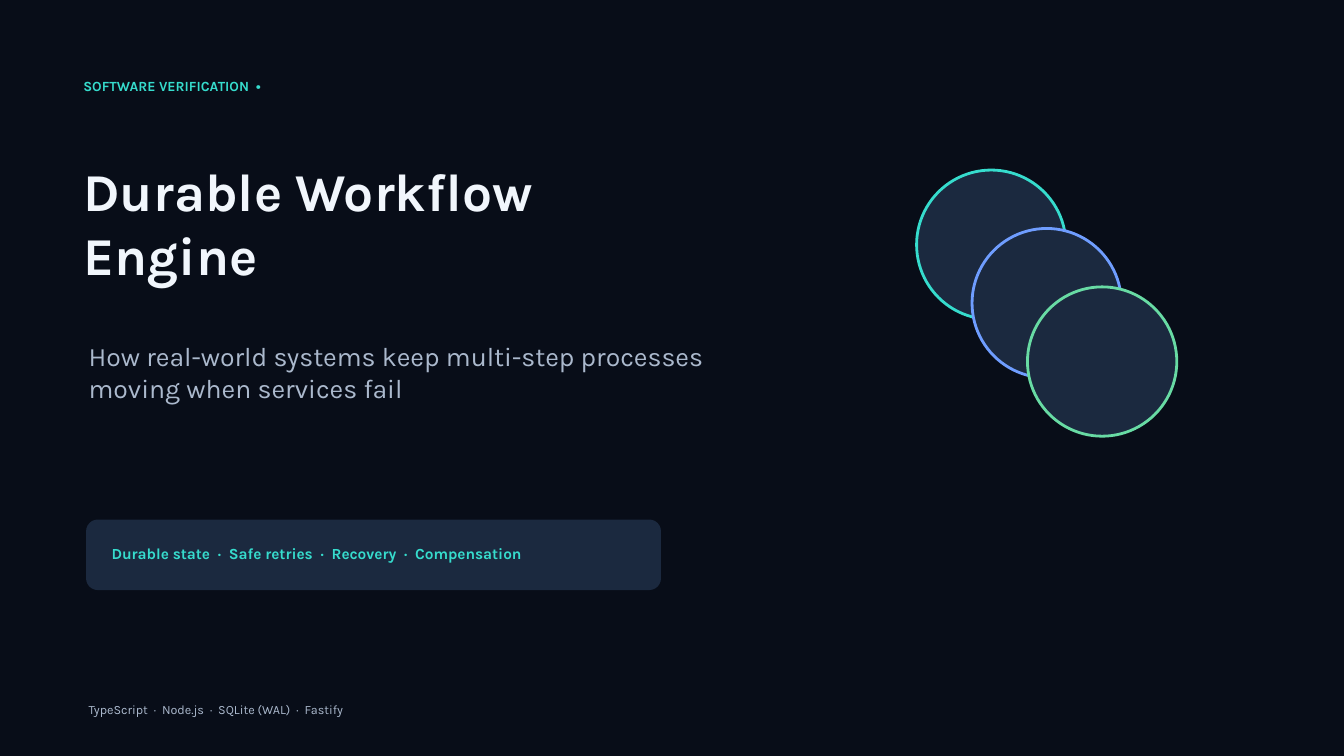
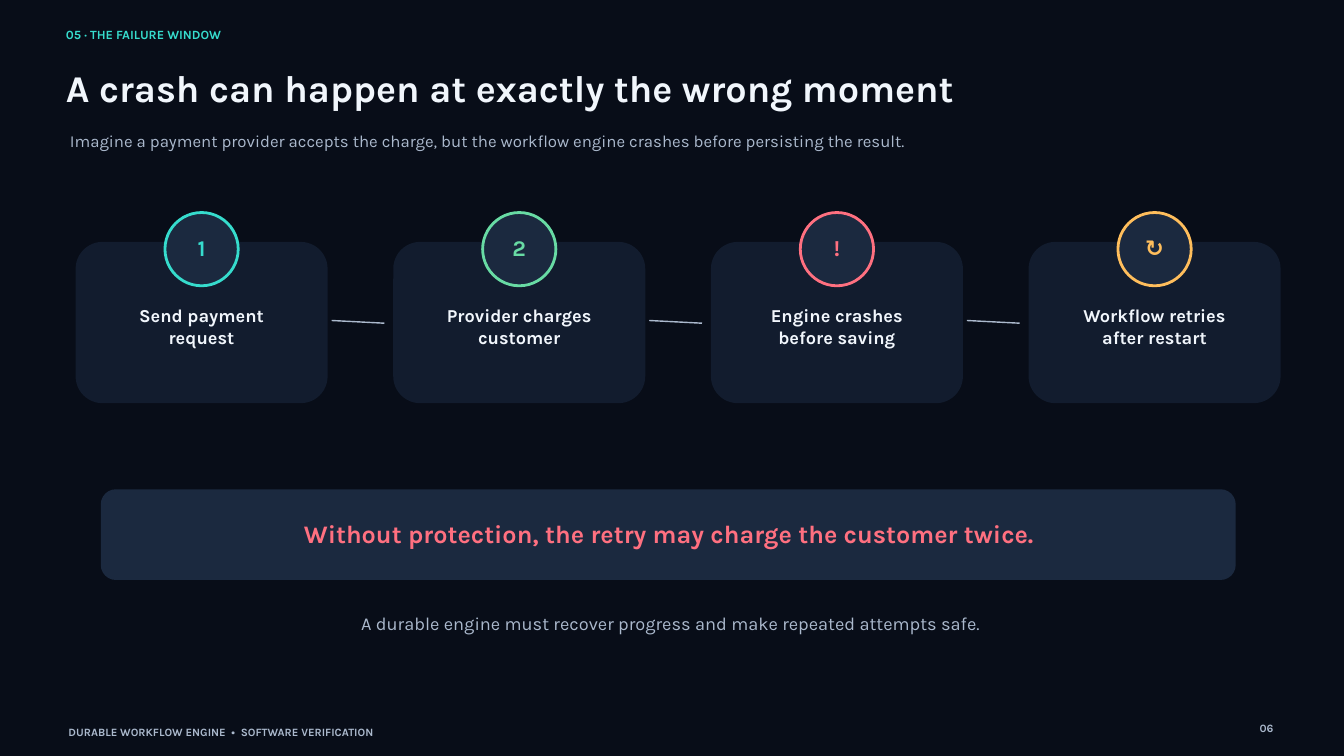
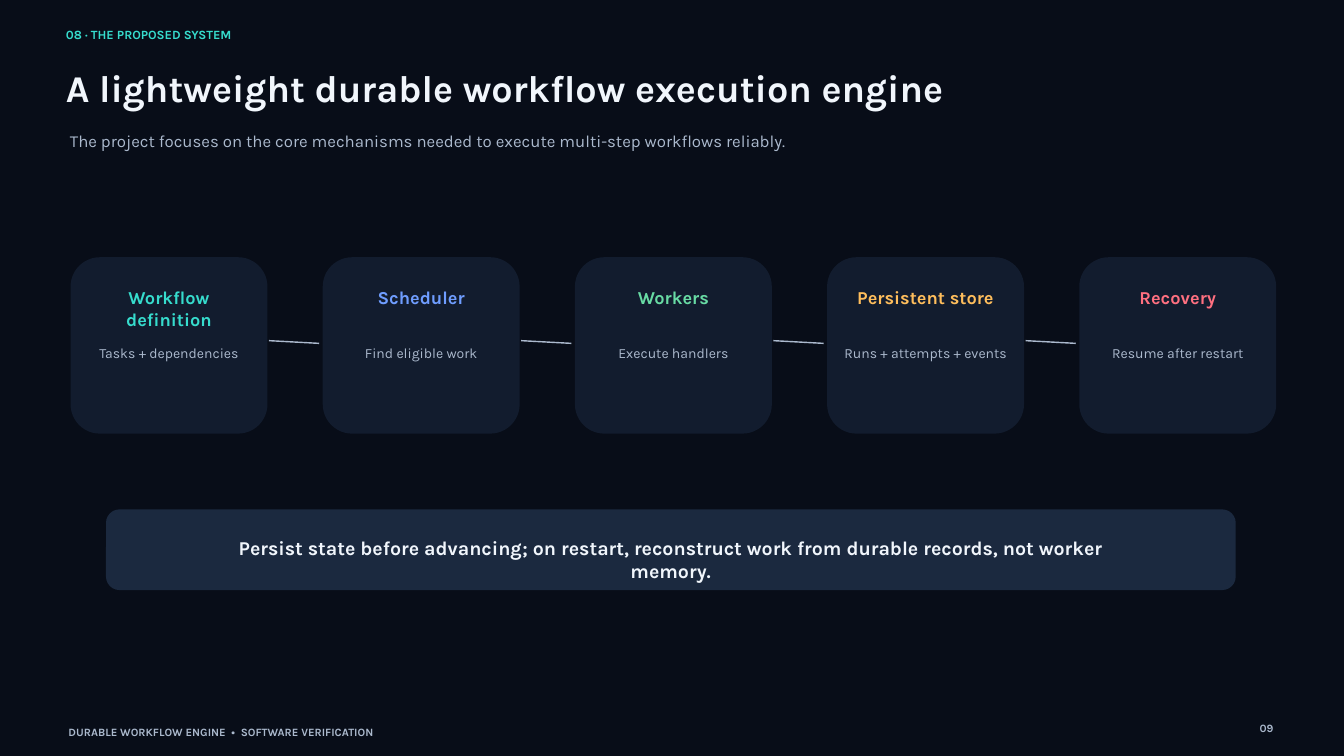
from dataclasses import dataclass

from lxml import etree
from pptx import Presentation
from pptx.dml.color import RGBColor
from pptx.enum.shapes import MSO_CONNECTOR, MSO_SHAPE
from pptx.enum.text import MSO_ANCHOR, MSO_AUTO_SIZE, PP_ALIGN
from pptx.oxml.ns import qn
from pptx.presentation import Presentation as Deck
from pptx.shapes.autoshape import Shape
from pptx.slide import Slide
from pptx.util import Pt

LEFT, CENTER, RIGHT = PP_ALIGN.LEFT, PP_ALIGN.CENTER, PP_ALIGN.RIGHT
TOP = MSO_ANCHOR.TOP
GROW = MSO_AUTO_SIZE.SHAPE_TO_FIT_TEXT
ROUNDED, OVAL = MSO_SHAPE.ROUNDED_RECTANGLE, MSO_SHAPE.OVAL
STRAIGHT = MSO_CONNECTOR.STRAIGHT
TITLE_SLIDE, TITLE_ONLY = 0, 5

FONT = "Karla"
LINE_FACTOR = 1.2
NIGHT, CARD, PANEL = "080D18", "121C2E", "1B293F"
WHITE, GREY = "F1F6FC", "ABB9CD"
TEAL, BLUE, GREEN, RED, AMBER = "36DCCD", "6F9DFF", "68DBA4", "FF7080", "FFBE5C"


@dataclass(frozen=True)
class Area:
    left: float
    top: float
    width: float
    height: float

    def lengths(self) -> tuple[Pt, Pt, Pt, Pt]:
        return Pt(self.left), Pt(self.top), Pt(self.width), Pt(self.height)


@dataclass(frozen=True)
class Style:
    size: float
    color: str
    bold: bool = False
    align: PP_ALIGN = LEFT


@dataclass(frozen=True)
class Step:
    mark: str
    label: str
    color: str


@dataclass(frozen=True)
class Component:
    name: str
    task: str
    color: str


@dataclass(frozen=True)
class Row:
    left: float
    pitch: float
    top: float
    width: float
    height: float
    radius: float
    link_start: float
    link_end: float
    link_top: float


LINK_DROP = 2.9
STEP_ROW = Row(81, 340.35, 259.2, 270, 172.8, 28.8, 274.3, 330.8, 343.4)
COMPONENT_ROW = Row(75.6, 270.2, 275.6, 211, 189, 31.5, 212.6, 266.4, 365)

STEPS = [
    Step("1", "Send payment\nrequest", TEAL),
    Step("2", "Provider charges\ncustomer", GREEN),
    Step("!", "Engine crashes\nbefore saving", RED),
    Step("↻", "Workflow retries\nafter restart", AMBER),
]
COMPONENTS = [
    Component("Workflow definition", "Tasks + dependencies", TEAL),
    Component("Scheduler", "Find eligible work", BLUE),
    Component("Workers", "Execute handlers", GREEN),
    Component("Persistent store", "Runs + attempts + events", AMBER),
    Component("Recovery", "Resume after restart", RED),
]


def rgb(color: str) -> RGBColor:
    return RGBColor.from_string(color)


def write(box: Shape, area: Area, text: str, style: Style) -> None:
    box.left, box.top, box.width, box.height = area.lengths()
    frame = box.text_frame
    frame_format = {
        "margin_left": 0, "margin_top": 0, "margin_right": 0, "margin_bottom": 0,
        "word_wrap": True, "vertical_anchor": TOP, "auto_size": GROW,
    }
    para_format = {
        "alignment": style.align, "space_before": Pt(0), "space_after": Pt(0),
        "line_spacing": Pt(style.size * LINE_FACTOR),
    }
    font_format = {"name": FONT, "size": Pt(style.size), "bold": style.bold}
    for name, value in frame_format.items():
        setattr(frame, name, value)
    for index, line in enumerate(text.split("\n")):
        para = frame.add_paragraph() if index else frame.paragraphs[0]
        for name, value in para_format.items():
            setattr(para, name, value)
        span = para.add_run()
        span.text = line
        for name, value in font_format.items():
            setattr(span.font, name, value)
        span.font.color.rgb = rgb(style.color)


def add_text(page: Slide, area: Area, text: str, style: Style) -> None:
    write(page.shapes.add_textbox(*area.lengths()), area, text, style)


def add_panel(page: Slide, area: Area, color: str, radius: float) -> None:
    panel = page.shapes.add_shape(ROUNDED, *area.lengths())
    panel.adjustments[0] = radius / min(area.width, area.height)
    panel.shadow.inherit = False
    panel.fill.solid()
    panel.fill.fore_color.rgb = rgb(color)
    panel.line.fill.background()


def add_ring(page: Slide, left: float, top: float, size: float, color: str) -> None:
    ring = page.shapes.add_shape(OVAL, *Area(left, top, size, size).lengths())
    ring.shadow.inherit = False
    ring.fill.solid()
    ring.fill.fore_color.rgb = rgb(PANEL)
    ring.line.color.rgb = rgb(color)
    ring.line.width = Pt(3)


def add_link(page: Slide, left: float, right: float, top: float) -> None:
    link = page.shapes.add_connector(
        STRAIGHT, Pt(left), Pt(top), Pt(right), Pt(top + LINK_DROP))
    link.line.color.rgb = rgb(GREY)
    link.line.width = Pt(1.5)
    etree.SubElement(link._element.spPr, qn("a:effectLst"))


def add_row_cards(page: Slide, row: Row, count: int) -> list[float]:
    lefts = [row.left + index * row.pitch for index in range(count)]
    for left in lefts:
        add_panel(page, Area(left, row.top, row.width, row.height), CARD, row.radius)
    for left in lefts[:-1]:
        add_link(page, left + row.link_start, left + row.link_end, row.link_top)
    return lefts


def add_content_page(deck: Deck, section: str, title: str, lead: str, number: str) -> Slide:
    page = deck.slides.add_slide(deck.slide_layouts[TITLE_ONLY])
    write(page.shapes.title, Area(70.6, 69.8, 1301, 63.4), title, Style(40.5, WHITE, True))
    add_text(page, Area(70.6, 28.8, 1290, 22.3), section, Style(13.5, TEAL, True))
    add_text(page, Area(74.9, 140.4, 1290, 42.5), lead, Style(18, GREY))
    add_text(page, Area(73.4, 777.6, 1074, 14.4),
             "DURABLE WORKFLOW ENGINE  •  SOFTWARE VERIFICATION", Style(12, GREY, True))
    add_text(page, Area(1321.9, 772.6, 42.5, 16.6), number, Style(12, GREY, True, RIGHT))
    return page


def build_cover(deck: Deck) -> None:
    page = deck.slides.add_slide(deck.slide_layouts[TITLE_SLIDE])
    write(page.shapes.title, Area(89.3, 169.9, 880.6, 147.6),
          "Durable Workflow\nEngine", Style(57, WHITE, True))
    write(page.placeholders[1], Area(95, 364.3, 805, 77.8),
          "How real-world systems keep multi-step processes\nmoving when services fail",
          Style(28.5, GREY))
    add_text(page, Area(89.3, 83.5, 859, 18), "SOFTWARE VERIFICATION  •",
             Style(15, TEAL, True))
    add_panel(page, Area(92.2, 556.6, 616, 75.6), PANEL, 12.6)
    add_text(page, Area(119.5, 582.5, 556.6, 23.8),
             "Durable state  ·  Safe retries  ·  Recovery  ·  Compensation",
             Style(16.5, TEAL, True))
    for index, color in enumerate([TEAL, BLUE, GREEN]):
        add_ring(page, 982.1 + index * 59.4, 182.2 + index * 62.6, 160, color)
    add_text(page, Area(95, 752.4, 751, 16.6),
             "TypeScript  ·  Node.js  ·  SQLite (WAL)  ·  Fastify", Style(13.5, GREY))


def build_failure_window(deck: Deck) -> None:
    page = add_content_page(
        deck, "05 · THE FAILURE WINDOW", "A crash can happen at exactly the wrong moment",
        "Imagine a payment provider accepts the charge, but the workflow engine crashes "
        "before persisting the result.", "06")
    ring_size, mark_width, label_width = 78.5, 69.2, 231.2
    lefts = add_row_cards(page, STEP_ROW, len(STEPS))
    for left, step in zip(lefts, STEPS):
        middle = left + STEP_ROW.width / 2
        add_ring(page, middle - ring_size / 2, 227.7, ring_size, step.color)
        add_text(page, Area(middle - mark_width / 2, 250.6, mark_width, 23.8),
                 step.mark, Style(24, step.color, True, CENTER))
        add_text(page, Area(middle - label_width / 2, 326.2, label_width, 72.7),
                 step.label, Style(19.5, WHITE, True, CENTER))
    add_panel(page, Area(108, 524.2, 1216, 97.2), PANEL, 16.2)
    add_text(page, Area(144, 555.1, 1144.8, 33.8),
             "Without protection, the retry may charge the customer twice.",
             Style(27, RED, True, CENTER))
    add_text(page, Area(122.4, 655.9, 1193, 31.7),
             "A durable engine must recover progress and make repeated attempts safe.",
             Style(19.5, GREY, False, CENTER))


def build_proposed_system(deck: Deck) -> None:
    page = add_content_page(
        deck, "08 · THE PROPOSED SYSTEM", "A lightweight durable workflow execution engine",
        "The project focuses on the core mechanisms needed to execute multi-step "
        "workflows reliably.", "09")
    inset = 14.1
    text_width = COMPONENT_ROW.width - 2 * inset
    lefts = add_row_cards(page, COMPONENT_ROW, len(COMPONENTS))
    for left, component in zip(lefts, COMPONENTS):
        add_text(page, Area(left + inset, 306.7, text_width, 45.4),
                 component.name, Style(19.5, component.color, True, CENTER))
        add_text(page, Area(left + inset, 369.4, text_width, 56.2),
                 component.task, Style(15, GREY, False, CENTER))
    add_panel(page, Area(113.6, 545.8, 1210.4, 86.4), PANEL, 14.4)
    add_text(page, Area(230.4, 573.8, 976.3, 25.2),
             "Persist state before advancing; on restart, reconstruct work from durable "
             "records, not worker memory.", Style(21, WHITE, True, CENTER))


def main() -> None:
    deck = Presentation()
    deck.slide_width, deck.slide_height = Pt(1440), Pt(810)
    backdrop = deck.slide_master.background.fill
    backdrop.solid()
    backdrop.fore_color.rgb = rgb(NIGHT)
    build_cover(deck)
    build_failure_window(deck)
    build_proposed_system(deck)
    deck.save("out.pptx")


if __name__ == "__main__":
    main()
